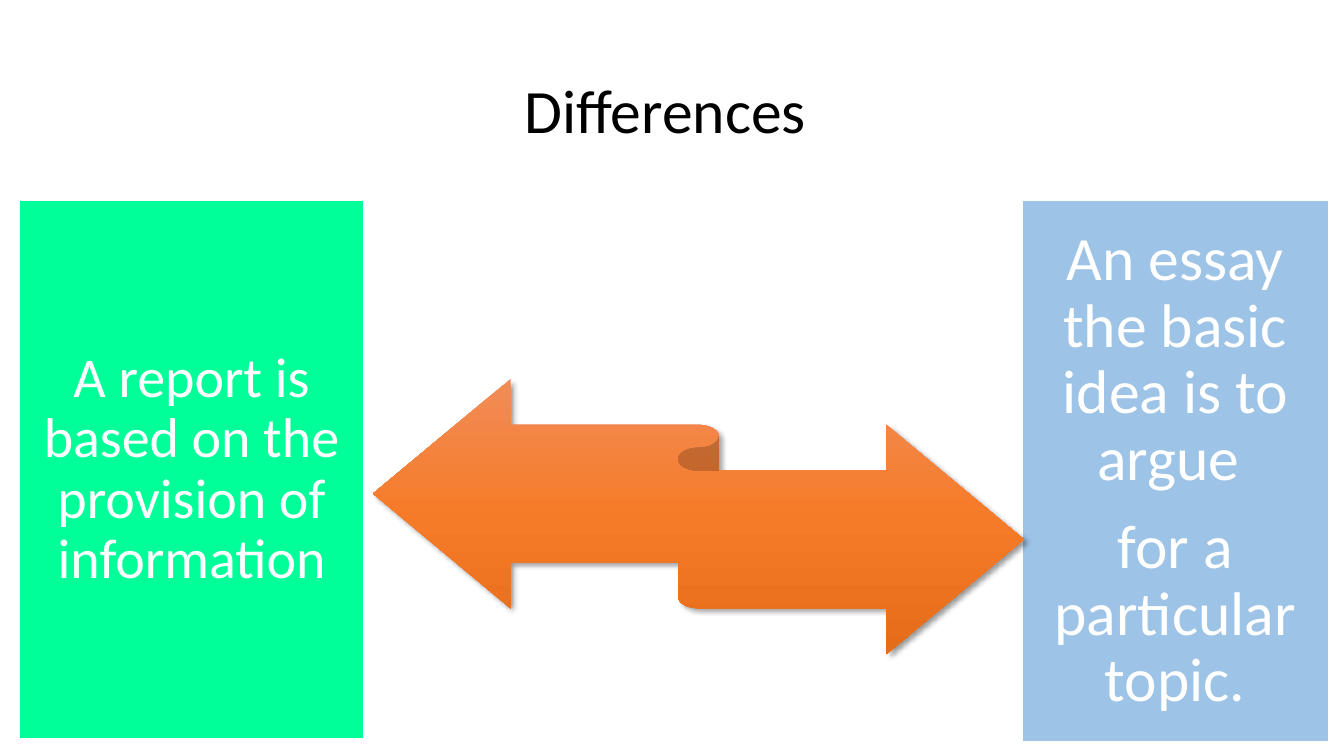
from lxml import etree
from pptx import Presentation
from pptx.dml.color import RGBColor
from pptx.enum.shapes import MSO_SHAPE
from pptx.enum.text import MSO_ANCHOR, PP_ALIGN
from pptx.oxml import parse_xml
from pptx.util import Pt

RECT, RIBBON = MSO_SHAPE.RECTANGLE, MSO_SHAPE.LEFT_RIGHT_RIBBON
MIDDLE, CENTER = MSO_ANCHOR.MIDDLE, PP_ALIGN.CENTER
NS = "http://schemas.openxmlformats.org/drawingml/2006/main"

# Content: text, place in points (left, top, width, height)
TITLE = {"lines": ["Differences "], "at": (66.24, 28.8, 828, 104.4)}
PANELS = [
    {"lines": ["A report is based on the provision of information"],
     "at": (13.68, 143.28, 246.24, 384.48), "fill": "report",
     "size": "body", "inset": 12.24},
    {"lines": ["An essay the basic idea is to argue ", "for a particular topic."],
     "at": (730.08, 143.28, 218.88, 386.64), "fill": "essay",
     "size": "large", "inset": 12.96},
]
ARROW = (266.4, 270.72, 465.12, 196.56)

THEME = {
    "font": "Calibri", "large": 44, "body": 40,
    "ink": "000000", "paper": "FFFFFF",
    "report": "00FF99", "essay": "9DC3E6",
    "ribbon": [(0, "F18C57"), (50, "F67B28"), (100, "E56C19")],
    "leading": 0.9, "gap": 0.35,
}


def color(name):
    return RGBColor.from_string(THEME[name])


def place(at):
    return [Pt(value) for value in at]


def write(frame, lines, size, ink, gap=0):
    frame.word_wrap = True
    frame.vertical_anchor = MIDDLE
    for i, line in enumerate(lines):
        para = frame.paragraphs[0] if i == 0 else frame.add_paragraph()
        para.text = line
        para.alignment = CENTER
        para.line_spacing = THEME["leading"]
        para.space_after = Pt(THEME[size] * gap)
        para.font.name = THEME["font"]
        para.font.size = Pt(THEME[size])
        para.font.color.rgb = color(ink)


def add_panel(slide, panel):
    box = slide.shapes.add_shape(RECT, *place(panel["at"]))
    box.shadow.inherit = False
    box.fill.solid()
    box.fill.fore_color.rgb = color(panel["fill"])
    box.line.color.rgb = color("paper")
    box.line.width = Pt(1)
    frame = box.text_frame
    inset = Pt(panel["inset"])
    frame.margin_left = frame.margin_right = inset
    frame.margin_top = frame.margin_bottom = inset
    write(frame, panel["lines"], panel["size"], "paper", THEME["gap"])


def add_ribbon(slide):
    shape = slide.shapes.add_shape(RIBBON, *place(ARROW))
    shape.shadow.inherit = False
    shape.line.fill.background()
    shape.fill.gradient()
    shape.fill.gradient_angle = 270
    props = shape.element.spPr
    # Three colour stops
    stops = props.find(f".//{{{NS}}}gsLst")
    for stop in list(stops):
        stops.remove(stop)
    for pos, tone in THEME["ribbon"]:
        stop = etree.SubElement(stops, f"{{{NS}}}gs", pos=str(pos * 1000))
        etree.SubElement(stop, f"{{{NS}}}srgbClr", val=tone)
    # Soft shadow to the lower right
    props.find(f"{{{NS}}}effectLst").append(parse_xml(
        f'<a:outerShdw xmlns:a="{NS}" blurRad="{Pt(4)}" dist="{Pt(3)}" '
        f'dir="{45 * 60000}" algn="ctr" rotWithShape="0">'
        f'<a:srgbClr val="{THEME["ink"]}"><a:alpha val="40000"/></a:srgbClr>'
        '</a:outerShdw>'))


def main():
    deck = Presentation()
    deck.slide_width, deck.slide_height = Pt(960), Pt(540)
    slide = deck.slides.add_slide(deck.slide_layouts[6])

    # Title
    head = slide.shapes.add_textbox(*place(TITLE["at"]))
    write(head.text_frame, TITLE["lines"], "large", "ink")

    # Panels and the ribbon between them
    for panel in PANELS:
        add_panel(slide, panel)
    add_ribbon(slide)
    deck.save("out.pptx")


if __name__ == "__main__":
    main()
